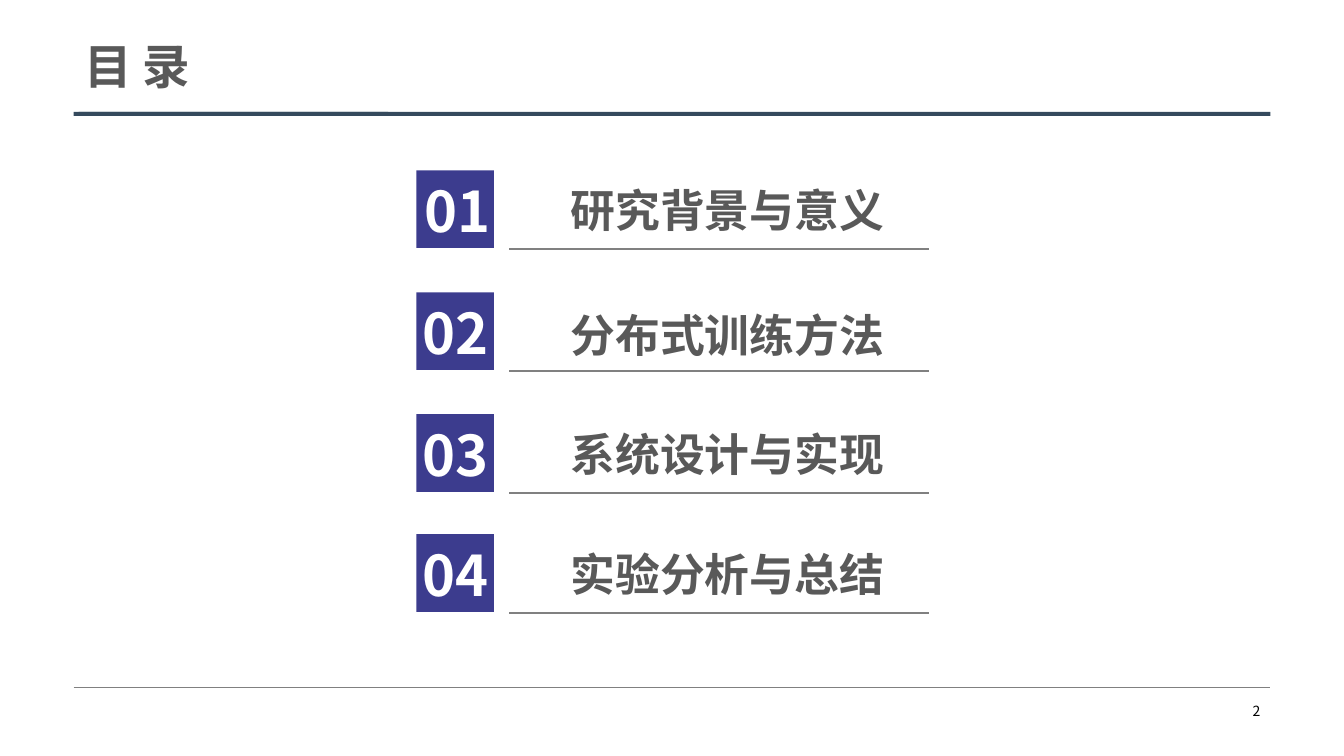
"""Build the table-of-contents slide with four numbered sections."""
from pptx import Presentation
from pptx.dml.color import RGBColor
from pptx.enum.shapes import MSO_CONNECTOR, MSO_SHAPE
from pptx.enum.text import MSO_ANCHOR, PP_ALIGN
from pptx.oxml.ns import qn
from pptx.util import Inches, Pt
from lxml import etree

RECTANGLE = MSO_SHAPE.RECTANGLE
STRAIGHT = MSO_CONNECTOR.STRAIGHT
TOP, MIDDLE = MSO_ANCHOR.TOP, MSO_ANCHOR.MIDDLE
LEFT, CENTER, RIGHT = PP_ALIGN.LEFT, PP_ALIGN.CENTER, PP_ALIGN.RIGHT

FONT = "Noto Sans CJK SC"
NAVY, INDIGO = "354A5D", "3C3C8E"
DARK_GRAY, GRAY, WHITE, BLACK = "595959", "808080", "FFFFFF", "000000"

color = RGBColor.from_string

presentation = Presentation()
presentation.slide_width = Inches(13.33)
presentation.slide_height = Inches(7.5)
slide = presentation.slides.add_slide(presentation.slide_layouts[6])


def add_text(text, left, top, width, height, size, fill, bold=True,
             align=LEFT, anchor=MIDDLE, margin_left=0.1):
    box = slide.shapes.add_textbox(
        Inches(left), Inches(top), Inches(width), Inches(height))
    frame = box.text_frame
    frame.word_wrap = True
    frame.vertical_anchor = anchor
    frame.margin_left = Inches(margin_left)
    paragraph = frame.paragraphs[0]
    paragraph.alignment = align
    run = paragraph.add_run()
    run.text = text
    run.font.name = FONT
    run.font.size = Pt(size)
    run.font.bold = bold
    run.font.color.rgb = color(fill)
    properties = run._r.get_or_add_rPr()
    etree.SubElement(properties, qn("a:ea")).set("typeface", FONT)


def add_rule(left, right, y, weight):
    rule = slide.shapes.add_connector(
        STRAIGHT, Inches(left), Inches(y), Inches(right), Inches(y))
    rule.line.color.rgb = color(GRAY)
    rule.line.width = Pt(weight)
    etree.SubElement(rule._element.spPr, qn("a:effectLst"))


bars = [(0.78, 1.11, 11.82, 0.04, NAVY), (0.73, 1.11, 3.12, 0.04, NAVY)]
sections = [
    ("研究背景与意义", 1.69, 1.76, 4.18),
    ("分布式训练方法", 2.9, 3, 4.16),
    ("系统设计与实现", 4.11, 4.18, 4.16),
    ("实验分析与总结", 5.3, 5.37, 4.16),
]
tiles = [(4.13, tile_top, 0.77, 0.77, INDIGO) for _, tile_top, _, _ in sections]

for left, top, width, height, fill in bars + tiles:
    shape = slide.shapes.add_shape(
        RECTANGLE, Inches(left), Inches(top), Inches(width), Inches(height))
    shape.shadow.inherit = False
    shape.fill.solid()
    shape.fill.fore_color.rgb = color(fill)
    shape.line.fill.background()

add_rule(0.73, 12.6, 6.82, 0.5)
add_text("目 录", 0.74, 0.31, 4.17, 0.67, 34, DARK_GRAY)
add_text("2", 8.6, 6.92, 4, 0.4, 10, BLACK, bold=False, align=RIGHT, anchor=TOP)

for number, (title, tile_top, title_top, number_left) in enumerate(sections, 1):
    add_text(title, 5.56, title_top, 3.35, 0.64, 32, DARK_GRAY)
    add_text(f"{number:02}", number_left, tile_top + 0.01, 0.81, 0.77, 40, WHITE,
             align=CENTER, margin_left=0)
    add_rule(5.05, 9.21, tile_top + 0.78, 1.5)

presentation.save("out.pptx")
